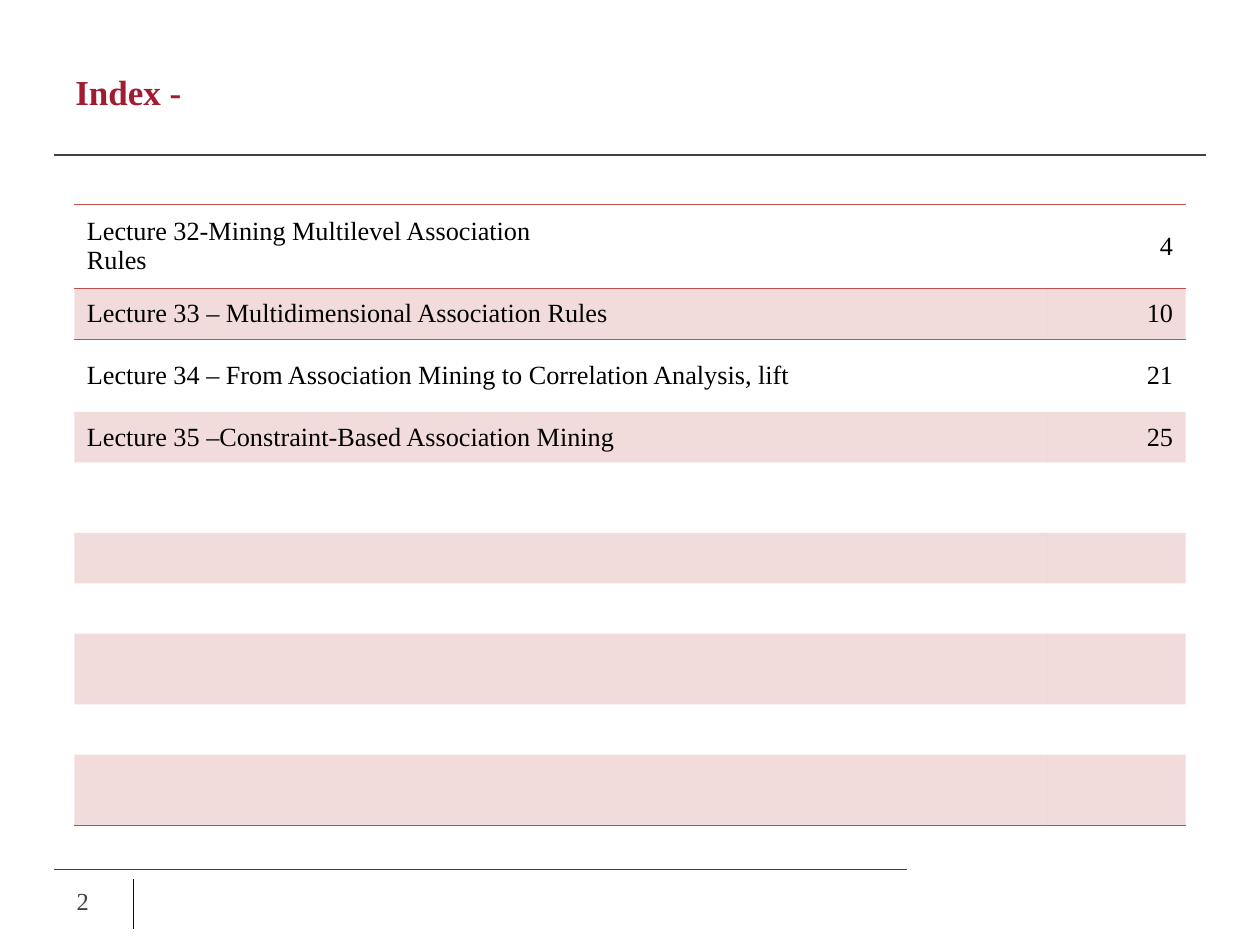
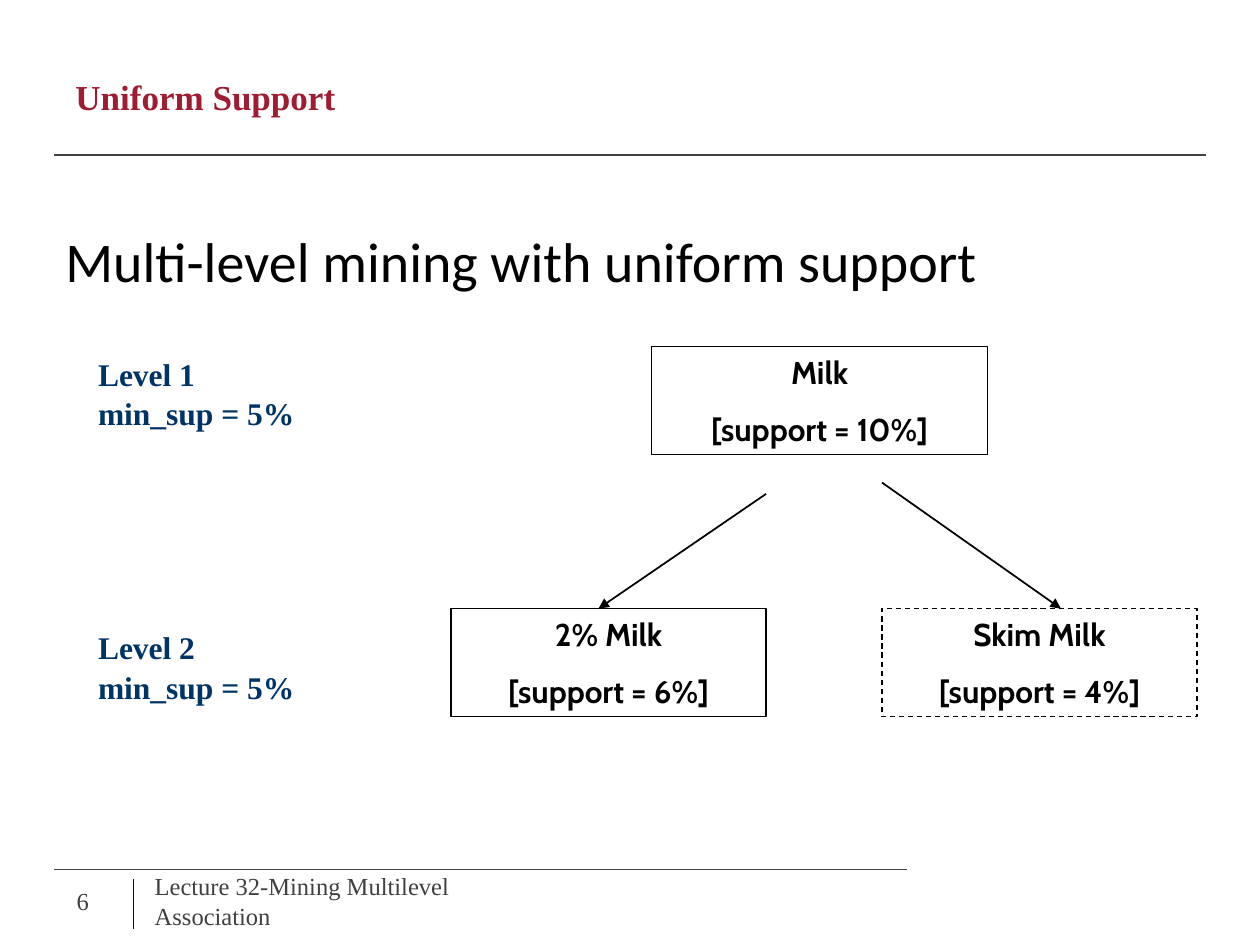
import pptx
import pptx.dml.color
import pptx.enum.dml
import pptx.enum.shapes
import pptx.enum.text
import pptx.oxml
import pptx.oxml.ns
import pptx.util

Inches = pptx.util.Inches
Pt = pptx.util.Pt
qn = pptx.oxml.ns.qn
ALIGN = pptx.enum.text.PP_ALIGN
ANCHOR = pptx.enum.text.MSO_ANCHOR

SERIF = "Times New Roman"
BLACK, WHITE, GREY = "000000", "FFFFFF", "404040"
ACCENT = "C0504D"
TITLE_FONT = dict(name=SERIF, size=20, colour="9F1C33", bold=True)
FOOTER_FONT = dict(name=SERIF, size=14, colour=GREY)
TABLE_FONT = dict(name=SERIF, size=15, colour=BLACK)
STATEMENT_FONT = dict(name="Calibri", size=32, colour=BLACK)
LEVEL_FONT = dict(name=SERIF, size=18, colour="003366", bold=True)
NODE_FONT = dict(name="Cabin", size=18, colour=BLACK, bold=True)
NO_STYLE_NO_GRID = "{2D5ABB26-0587-4C30-8999-92F81FD0307C}"

INDEX_ROWS = [
    ("Lecture 32-Mining Multilevel Association\nRules", "4"),
    ("Lecture 33 – Multidimensional Association Rules", "10"),
    ("Lecture 34 – From Association Mining to Correlation Analysis, lift", "21"),
    ("Lecture 35 –Constraint-Based Association Mining", "25"),
] + [("", "")] * 6
INDEX_HEIGHTS = [0.67, 0.4, 0.58, 0.4, 0.56, 0.4, 0.4, 0.56, 0.4, 0.56]
INDEX_WIDTHS = [7.72, 1.1]


def rgb(colour):
    return pptx.dml.color.RGBColor.from_string(colour)


def set_fill(fill, colour, opacity=100):
    fill.solid()
    fill.fore_color.rgb = rgb(colour)
    if opacity < 100:
        colour_element = fill._xPr.find(qn("a:solidFill"))[0]
        alpha = colour_element.makeelement(qn("a:alpha"), {"val": str(opacity * 1000)})
        colour_element.append(alpha)


def write_text(frame, text, font, **paragraph_format):
    """Write one paragraph for each line of text."""
    for index, line in enumerate(text.split("\n")):
        paragraph = frame.add_paragraph() if index else frame.paragraphs[0]
        for name, value in paragraph_format.items():
            setattr(paragraph, name, value)
        run = paragraph.add_run()
        run.text = line
        run.font.name = font["name"]
        run.font.size = Pt(font["size"])
        run.font.bold = font.get("bold", False)
        run.font.color.rgb = rgb(font["colour"])


def add_text(slide, box, text, font, anchor=ANCHOR.TOP, wrap=True, **paragraph_format):
    frame = slide.shapes.add_textbox(*map(Inches, box)).text_frame
    frame.word_wrap = wrap
    frame.vertical_anchor = anchor
    write_text(frame, text, font, **paragraph_format)


def add_line(slide, start, end, colour=GREY, width=0.75, arrow=False):
    line = slide.shapes.add_connector(
        pptx.enum.shapes.MSO_CONNECTOR.STRAIGHT, *map(Inches, (*start, *end)))
    line.line.color.rgb = rgb(colour)
    line.line.width = Pt(width)
    properties = line._element.spPr
    properties.append(properties.makeelement(qn("a:effectLst"), {}))
    if arrow:
        outline = line.line._get_or_add_ln()
        outline.append(outline.makeelement(qn("a:tailEnd"), {"type": "triangle"}))


def add_base_slide(presentation, title, title_height, number, footer=None):
    """Add a slide with the shared title, rules and footer."""
    slide = presentation.slides.add_slide(presentation.slide_layouts[6])
    add_line(slide, (0.43, 1.23), (9.57, 1.23))
    add_line(slide, (0.43, 6.9), (7.2, 6.9))
    add_line(slide, (1.06, 6.98), (1.06, 7.37), "0D0D0D")
    add_text(slide, (0.5, 0.3, 9, title_height), title, TITLE_FONT, ANCHOR.MIDDLE)
    add_text(slide, (0.51, 6.95, 0.52, 0.4), number, FOOTER_FONT, ANCHOR.MIDDLE)
    if footer:
        add_text(slide, (1.13, 6.95, 3.17, 0.4), footer, FOOTER_FONT, ANCHOR.MIDDLE)
    return slide


def add_cell_borders(cell, sides):
    properties = cell._tc.get_or_add_tcPr()
    for position, side in enumerate(sides):
        properties.insert(position, pptx.oxml.parse_xml(
            f'<a:ln{side} {pptx.oxml.ns.nsdecls("a")} w="5715"><a:solidFill>'
            f'<a:srgbClr val="{ACCENT}"/></a:solidFill></a:ln{side}>'))


def add_index_table(slide, left, top):
    row_count = len(INDEX_ROWS)
    table = slide.shapes.add_table(
        row_count, len(INDEX_WIDTHS), Inches(left), Inches(top),
        Inches(sum(INDEX_WIDTHS)), Inches(sum(INDEX_HEIGHTS))).table
    table.first_row = table.horz_banding = False
    table._tbl.tblPr.find(qn("a:tableStyleId")).text = NO_STYLE_NO_GRID
    for column, width in zip(table.columns, INDEX_WIDTHS):
        column.width = Inches(width)
    borders = {0: "TB", 1: "T", row_count - 1: "B"}
    for row_index, (texts, height) in enumerate(zip(INDEX_ROWS, INDEX_HEIGHTS)):
        table.rows[row_index].height = Inches(height)
        for column_index, text in enumerate(texts):
            cell = table.cell(row_index, column_index)
            cell.vertical_anchor = ANCHOR.MIDDLE
            cell.margin_top = cell.margin_bottom = Inches(0.04)
            if row_index % 2:
                set_fill(cell.fill, ACCENT, 20)
            else:
                cell.fill.background()
            add_cell_borders(cell, borders.get(row_index, ""))
            if text:
                alignment = ALIGN.RIGHT if column_index else ALIGN.LEFT
                write_text(cell.text_frame, text, TABLE_FONT, alignment=alignment)


def add_node(slide, left, top, width, text, infrequent=False):
    """Add an item box, dashed when its support is below the minimum."""
    shape = slide.shapes.add_shape(
        pptx.enum.shapes.MSO_SHAPE.RECTANGLE, *map(Inches, (left, top, width, 0.86)))
    shape.shadow.inherit = False
    set_fill(shape.fill, WHITE, 50 if infrequent else 100)
    shape.line.color.rgb = rgb(BLACK)
    shape.line.width = Pt(0.75)
    if infrequent:
        shape.line.dash_style = pptx.enum.dml.MSO_LINE.DASH
    shape.text_frame.word_wrap = True
    shape.text_frame.vertical_anchor = ANCHOR.TOP
    write_text(shape.text_frame, text, NODE_FONT,
               alignment=ALIGN.CENTER, space_before=Pt(11.2))


def add_support_tree(slide, left, top):
    """Draw the two-level item tree from its top-left corner."""
    child_top = top + 2.08
    add_node(slide, left + 1.59, top, 2.67, "Milk\n[support = 10%]")
    add_node(slide, left, child_top, 2.5, "2% Milk\n[support = 6%]")
    add_node(slide, left + 3.42, child_top, 2.5, "Skim Milk\n[support = 4%]", True)
    for start_x, start_y, end_x in ((2.5, 1.17, 1.17), (3.42, 1.08, 4.84)):
        add_line(slide, (left + start_x, top + start_y), (left + end_x, child_top),
                 BLACK, 1, arrow=True)


def build_index_slide(presentation):
    slide = add_base_slide(presentation, "Index -", 0.85, "2")
    add_index_table(slide, 0.59, 1.62)


def build_support_slide(presentation):
    slide = add_base_slide(presentation, "Uniform Support", 0.93, "6",
                           "Lecture 32-Mining Multilevel Association")
    add_text(slide, (0.42, 1.75, 9.17, 1.08),
             "Multi-level mining with uniform support", STATEMENT_FONT)
    add_support_tree(slide, 3.58, 2.75)
    for level, top in ((1, 2.75), (2, 4.92)):
        add_text(slide, (0.68, top, 1.76, 0.7), f"Level {level}\nmin_sup = 5%",
                 LEVEL_FONT, wrap=False, line_spacing=1.05)


def main():
    presentation = pptx.Presentation()
    presentation.slide_width = Inches(10)
    presentation.slide_height = Inches(7.5)
    build_index_slide(presentation)
    build_support_slide(presentation)
    presentation.save("out.pptx")


if __name__ == "__main__":
    main()
